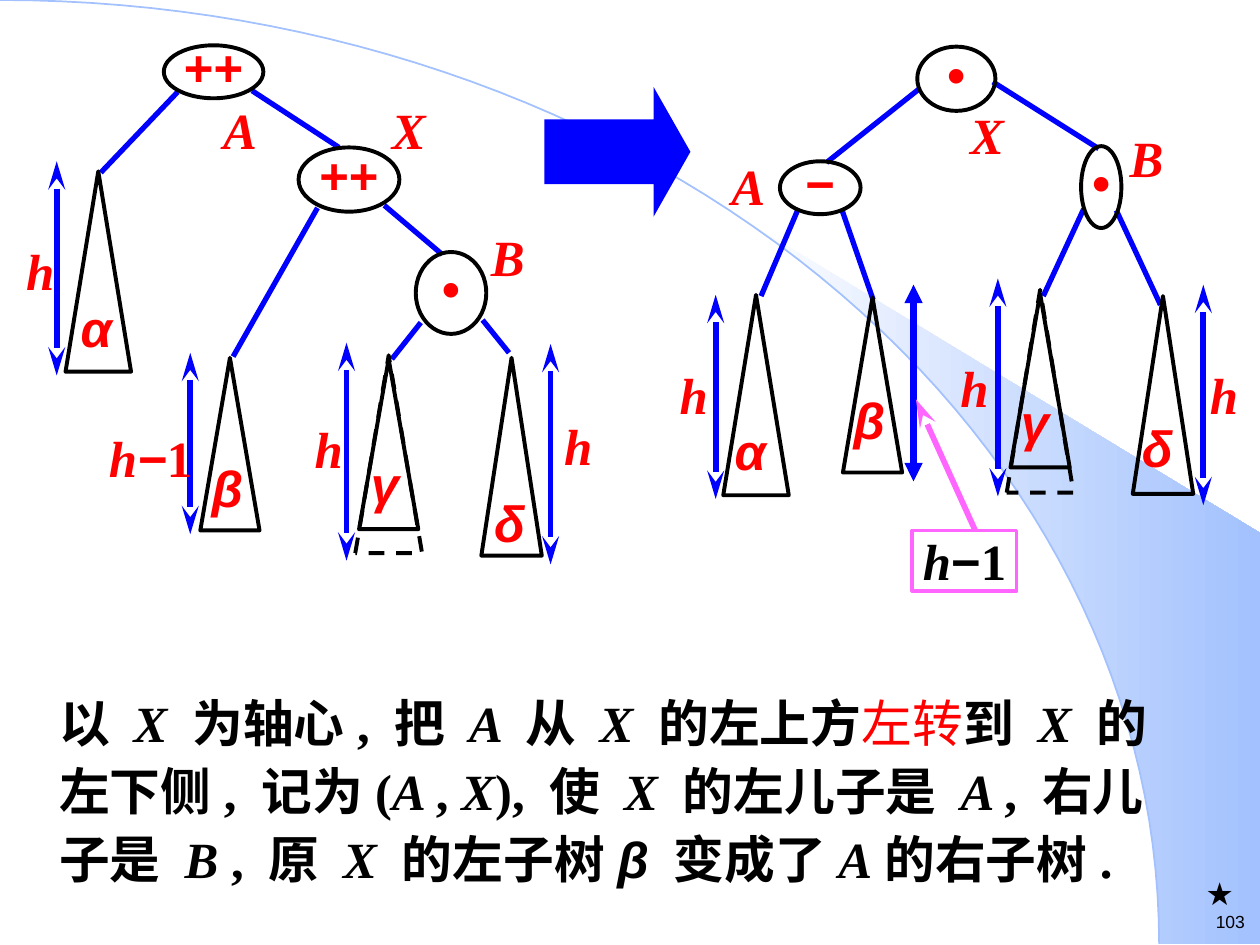
from math import asin, cos, pi, sin

from lxml.etree import SubElement
from pptx import Presentation
from pptx.dml.color import RGBColor
from pptx.enum.dml import MSO_LINE_DASH_STYLE as Dash
from pptx.enum.shapes import MSO_CONNECTOR, MSO_SHAPE
from pptx.enum.text import MSO_ANCHOR, MSO_AUTO_SIZE, PP_ALIGN
from pptx.oxml.ns import qn
from pptx.util import Inches, Pt

COLORS = {"black": "000000", "red": "FF0000", "blue": "0000FF",
          "pink": "FF66FF", "sky": "A2C1FE", "white": "FFFFFF"}
SERIF, SANS, CJK = "Times New Roman", "Arial", "Noto Sans CJK SC"
STYLES = {
    "plain": {"name": SERIF, "bold": True, "italic": False},
    "var": {"name": SERIF, "bold": True, "italic": True},
    "greek": {"name": SANS, "bold": True, "italic": True},
    "sign": {"name": SANS, "bold": True, "italic": False},
    "turn": {"name": CJK, "bold": False, "italic": False},
    "small": {"name": SANS, "bold": False, "italic": False},
}

# Positions are in inches from the corner of each tree's box.
LEFT_TREE = {
    "edges": [(3.05, 1.63, 3.51, 2.02), (1.41, 0.73, 0.8, 1.37),
              (2.52, 1.65, 1.85, 2.83), (2, 0.72, 2.69, 1.17),
              (3.34, 2.56, 3.11, 2.85), (3.83, 2.54, 4.04, 2.8)],
    "nodes": [("++", 1.3, 0.36, 0.79, 0.42), ("++", 2.37, 1.17, 0.8, 0.51),
              ("•", 3.3, 2, 0.56, 0.65)],
    "dashed": [(2.82, 2.82, 0.53, 1.57)],
    "subtrees": [(0.52, 1.36, 0.52, 1.59), (1.59, 2.84, 0.47, 1.37),
                 (3.82, 2.84, 0.48, 1.57), (2.85, 2.85, 0.47, 1.35)],
    "heights": [(0.45, 1.28, 2.98), (1.51, 2.8, 4.24),
                (4.37, 2.73, 4.48), (2.75, 2.72, 4.45)],
    "names": [("A", 1.63, 0.84, 0.55), ("X", 3.05, 0.84, 0.39),
              ("B", 3.84, 1.85, 0.38), ("h", 0.14, 1.96, 0.36),
              ("h", 2.43, 3.37, 0.36), ("h", 4.41, 3.35, 0.36)],
    "greek": [("α", 0.6, 2.41, 0.33), ("β", 1.62, 3.68, 0.37),
              ("γ", 2.89, 3.65, 0.33), ("δ", 3.9, 3.96, 0.29)],
}
RIGHT_TREE = {
    "edges": [(2.88, 0.65, 3.72, 1.18), (1.33, 1.67, 1.04, 2.35),
              (2.29, 0.71, 1.56, 1.29), (1.68, 1.66, 1.93, 2.38),
              (3.6, 1.66, 3.28, 2.35), (3.86, 1.67, 4.21, 2.42)],
    "nodes": [("−", 1.19, 1.28, 0.64, 0.42), ("•", 2.28, 0.37, 0.62, 0.51),
              ("•", 3.58, 1.16, 0.32, 0.65)],
    "dashed": [(2.99, 2.3, 0.53, 1.61)],
    "subtrees": [(0.74, 2.34, 0.52, 1.59), (1.69, 2.36, 0.47, 1.39),
                 (3.99, 2.35, 0.48, 1.57), (3.02, 2.33, 0.47, 1.38)],
    "heights": [(0.68, 2.34, 3.96), (4.55, 2.26, 4.01), (2.92, 2.21, 3.94)],
    "names": [("A", 0.74, 1.28, 0.4), ("X", 2.63, 0.88, 0.41),
              ("B", 3.9, 1.06, 0.4), ("h", 0.35, 2.94, 0.31),
              ("h", 2.58, 2.89, 0.31), ("h", 4.56, 2.94, 0.31)],
    "greek": [("α", 0.75, 3.39, 0.41), ("β", 1.71, 3.14, 0.38),
              ("γ", 3.05, 3.16, 0.33), ("δ", 4.03, 3.36, 0.31)],
}
ROTATION_TEXT = [
    ("以 ", "plain"), ("X ", "var"), ("为轴心, 把 ", "plain"), ("A ", "var"),
    ("从 ", "plain"), ("X ", "var"), ("的左上方", "plain"), ("左转", "turn"),
    ("到 ", "plain"), ("X ", "var"), ("的左下侧, 记为(", "plain"), ("A ", "var"),
    (", ", "plain"), ("X", "var"), ("), 使 ", "plain"), ("X ", "var"),
    ("的左儿子是 ", "plain"), ("A ", "var"), (", 右儿子是 ", "plain"), ("B ", "var"),
    (", 原 ", "plain"), ("X ", "var"), ("的左子树", "plain"), ("β", "greek"),
    (" 变成了", "plain"), ("A", "var"), ("的右子树.", "plain"),
]


def rgb(color):
    return RGBColor.from_string(COLORS[color])


def write(frame, spans, color, size=29, align=PP_ALIGN.CENTER, spacing=0.9,
          anchor=MSO_ANCHOR.TOP, insets=(0, 0, 0, 0)):
    """Fill a text frame with one paragraph of (text, style) spans."""
    settings = {"word_wrap": True, "auto_size": MSO_AUTO_SIZE.NONE, "vertical_anchor": anchor}
    for side, inset in zip(("left", "top", "right", "bottom"), insets):
        settings["margin_" + side] = Inches(inset)
    for key, value in settings.items():
        setattr(frame, key, value)
    para = frame.paragraphs[0]
    para.alignment, para.line_spacing, para.space_before = align, spacing, Pt(0)
    for text, style in spans:
        span = para.add_run()
        span.text = text
        for key, value in {**STYLES[style], "size": Pt(size)}.items():
            setattr(span.font, key, value)
        span.font.color.rgb = rgb("red" if style == "turn" else color)
        SubElement(span.font._element, qn("a:ea"), typeface=CJK)


def add_label(shapes, box, spans, color="red", **layout):
    write(shapes.add_textbox(*map(Inches, box)).text_frame, spans, color, **layout)


def add_outline(shapes, kind, box, color="black", width=2.25):
    shape = shapes.add_shape(kind, *map(Inches, box))
    shape.shadow.inherit = False
    shape.fill.background()
    shape.line.color.rgb = rgb(color)
    shape.line.width = Pt(width)
    return shape


def add_line(shapes, ends, color="blue", width=3, head=None, tail=None, length="lg"):
    line = shapes.add_connector(MSO_CONNECTOR.STRAIGHT, *map(Inches, ends))
    line.line.color.rgb = rgb(color)
    line.line.width = Pt(width)
    for tag, arrow in (("a:headEnd", head), ("a:tailEnd", tail)):
        if arrow:
            SubElement(line.line._get_or_add_ln(), qn(tag), type=arrow, w="med", len=length)
    SubElement(line._element.spPr, qn("a:effectLst"))


def add_backdrop(page, left, top, width, height):
    """Draw a quarter-ellipse arc and the shaded sweep outside its lower part."""
    radius, steps = 0.92 * width, 60

    def arc(start):
        angles = [start + (pi / 2 - start) * step / steps for step in range(steps + 1)]
        return [(Inches(left + radius * sin(t)), Inches(top + height * (1 - cos(t))))
                for t in angles]

    def outline(points, close):
        builder = page.shapes.build_freeform(*points[0])
        builder.add_line_segments(points[1:], close=close)
        shape = builder.convert_to_shape()
        shape.shadow.inherit = False
        return shape

    right = left + width
    corners = [(Inches(right), Inches(top + height)), (Inches(right), Inches(top + 4.23))]
    sweep = outline(arc(asin(0.64)) + corners, True)
    sweep.line.fill.background()
    sweep.fill.gradient()
    sweep.fill.gradient_angle = 0
    for stop, color in zip(sweep.fill.gradient_stops, ("white", "sky")):
        stop.color.rgb = rgb(color)
    curve = outline(arc(0), False)
    curve.fill.background()
    curve.line.color.rgb = rgb("sky")
    curve.line.width = Pt(1)


def add_tree(page, left, top, tree):
    shapes = page.shapes.add_group_shape().shapes

    def place(x, y, *size):
        return (left + x, top + y, *size)

    for x1, y1, x2, y2 in tree["edges"]:
        add_line(shapes, place(x1, y1) + place(x2, y2))
    for sign, *box in tree["nodes"]:
        node = add_outline(shapes, MSO_SHAPE.OVAL, place(*box))
        write(node.text_frame, [(sign, "sign")], "red", spacing=0.8, anchor=MSO_ANCHOR.MIDDLE)
    for box in tree["dashed"]:
        extra = add_outline(shapes, MSO_SHAPE.ISOSCELES_TRIANGLE, place(*box))
        extra.line.dash_style = Dash.DASH
    for box in tree["subtrees"]:
        add_outline(shapes, MSO_SHAPE.ISOSCELES_TRIANGLE, place(*box))
    for x, y1, y2 in tree["heights"]:
        add_line(shapes, place(x, y1) + place(x, y2), width=3.25, head="stealth", tail="stealth")
    for key, style in (("names", "var"), ("greek", "greek")):
        for text, x, y, width in tree[key]:
            add_label(shapes, place(x, y, width, 0.44), [(text, style)])


def add_height_callout(page, left, top, width, height):
    """Box the reduced height and point from it to its measuring arrow."""
    add_line(page.shapes, (left + 0.01, top - 1.95, left + 0.01, top - 0.39),
             width=3.5, head="triangle", tail="triangle", length="med")
    add_line(page.shapes, (left + 0.5, top, left + 0.03, top - 1.04), "pink", 3.25, tail="stealth")
    box = add_outline(page.shapes, MSO_SHAPE.RECTANGLE, (left, top, width, height), "pink", 2)
    write(box.text_frame, [("h", "var"), ("−", "sign"), ("1", "plain")], "black",
          spacing=1.0, anchor=MSO_ANCHOR.MIDDLE, insets=(0.04, 0, 0.04, 0))


def add_explanation(page, left, top, width, height):
    body = page.placeholders[1]
    box = {"left": left, "top": top, "width": width, "height": height}
    for key, value in box.items():
        setattr(body, key, Inches(value))
    properties = body.text_frame.paragraphs[0]._p.get_or_add_pPr()
    properties.set("marL", "0")
    properties.set("indent", "0")
    SubElement(properties, qn("a:buNone"))
    write(body.text_frame, ROTATION_TEXT, "black", align=PP_ALIGN.LEFT,
          spacing=Pt(39), insets=(0.1, 0, 0, 0.05))
    page.shapes.element.append(body.element)  # bring in front of the backdrop


def add_rotation_arrow(page, *box):
    arrow = add_outline(page.shapes, MSO_SHAPE.RIGHT_ARROW, box)
    arrow.adjustments[1] = 0.284
    arrow.fill.solid()
    arrow.fill.fore_color.rgb = rgb("blue")
    arrow.line.fill.background()


def add_corner_marks(page, left, top):
    add_label(page.shapes, (left, top, 0.4, 0.4), [("★", "small")], "black", size=18,
              align=PP_ALIGN.LEFT, spacing=1.0, insets=(0.1, 0.05, 0.1, 0.05))
    add_label(page.shapes, (left - 0.06, top + 0.29, 0.49, 0.27), [("103", "small")], "black",
              size=10, align=PP_ALIGN.RIGHT, spacing=1.0, insets=(0.02, 0.05, 0.02, 0.05))


def main():
    deck = Presentation()
    deck.slide_width, deck.slide_height = Inches(10), Inches(7.5)
    page = deck.slides.add_slide(deck.slide_layouts[1])
    title = page.shapes.title.element
    title.getparent().remove(title)
    add_backdrop(page, 0, 0, 10, 7.49)
    add_tree(page, 0, 0, LEFT_TREE)
    add_label(page.shapes, (0.8, 3.44, 0.79, 0.48), [("h", "var"), ("−", "greek"), ("1", "plain")])
    add_tree(page, 5, 0, RIGHT_TREE)
    add_explanation(page, 0.37, 5.43, 8.95, 1.68)
    add_rotation_arrow(page, 4.32, 0.69, 1.16, 1.03)
    add_height_callout(page, 7.24, 4.21, 0.83, 0.48)
    add_corner_marks(page, 9.47, 6.89)
    deck.save("out.pptx")


if __name__ == "__main__":
    main()
